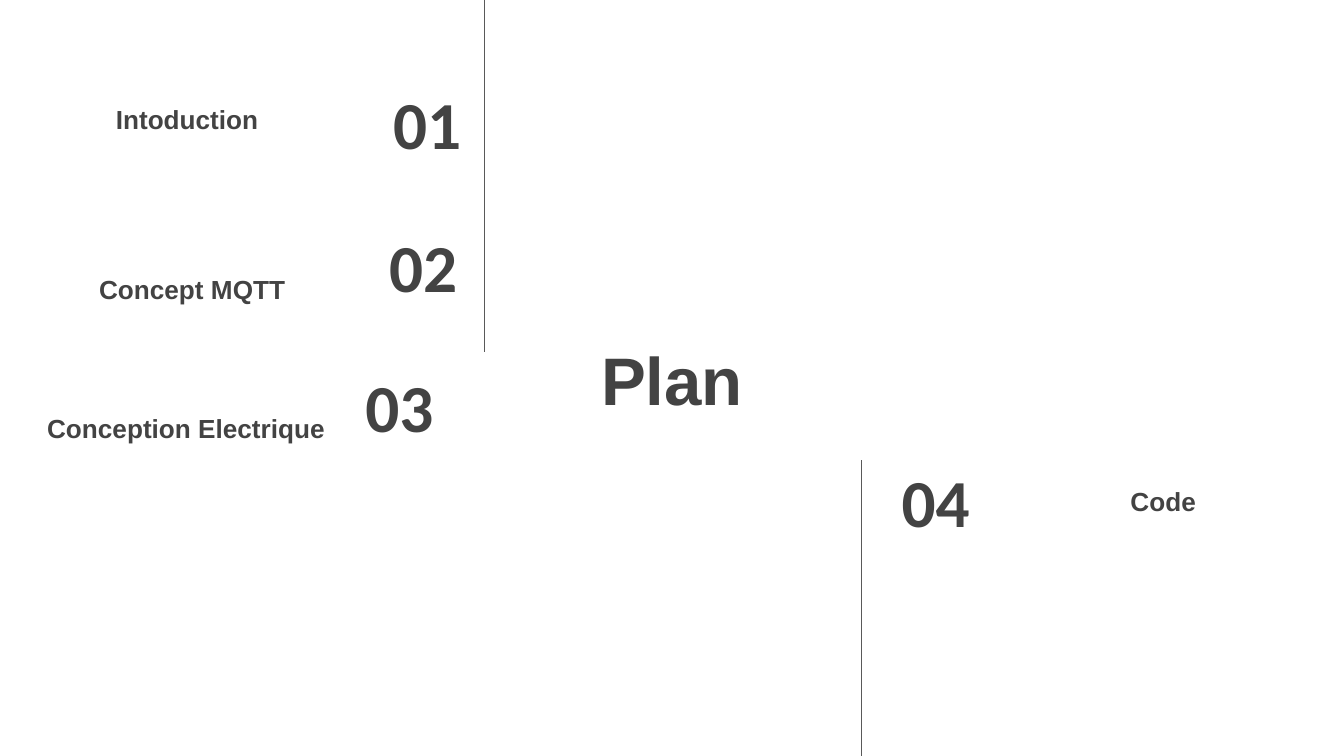
from collections import namedtuple
from dataclasses import dataclass

from pptx import Presentation
from pptx.dml.color import RGBColor
from pptx.enum.shapes import MSO_CONNECTOR as Connector
from pptx.enum.text import MSO_ANCHOR as Anchor, PP_ALIGN as Align
from pptx.oxml.ns import qn
from pptx.util import Pt

PX = 4572  # EMU per px, 200 px to the inch
Box = namedtuple("Box", "left top width height")


@dataclass(frozen=True)
class Theme:
    ink: RGBColor = RGBColor(0x43, 0x43, 0x43)
    rule: RGBColor = RGBColor(0x59, 0x59, 0x59)
    text_font: str = "Arial"
    number_font: str = "Calibri"
    large: int = 36
    small: int = 14
    rule_width: float = 0.75


THEME = Theme()


def inside(region, part):
    """Move a part from region coordinates to page coordinates."""
    return Box(region.left + part.left, region.top + part.top,
               part.width, part.height)


def add_text(page, box, text, font, size, align, anchor, inset=20):
    shape = page.shapes.add_textbox(*(length * PX for length in box))
    frame = shape.text_frame
    frame.word_wrap = True
    frame.vertical_anchor = anchor
    frame.margin_left = frame.margin_right = 20 * PX
    frame.margin_top = frame.margin_bottom = inset * PX
    frame.text = text
    para = frame.paragraphs[0]
    para.alignment = align
    style = para.runs[0].font
    style.name, style.size, style.bold = font, Pt(size), True
    style.color.rgb = THEME.ink


def add_rule(page, x, top, bottom):
    line = page.shapes.add_connector(
        Connector.STRAIGHT, x * PX, top * PX, x * PX, bottom * PX)
    line.line.color.rgb = THEME.rule
    line.line.width = Pt(THEME.rule_width)
    properties = line._element.spPr
    properties.append(properties.makeelement(qn("a:effectLst"), {}))


def add_heading(page, region, text):
    add_text(page, region, text, THEME.text_font, THEME.large,
             Align.CENTER, Anchor.MIDDLE)


def add_entry(page, region, number, number_box, number_align,
              title, title_box, anchor=Anchor.BOTTOM, inset=20):
    add_text(page, inside(region, number_box), number, THEME.number_font,
             THEME.large, number_align, Anchor.MIDDLE, inset)
    add_text(page, inside(region, title_box), title, THEME.text_font,
             THEME.small, Align.CENTER, anchor, inset)


def add_left_column(page, region):
    entries = [
        ("01", Box(464, 120, 242, 126), Align.RIGHT,
         "Intoduction", Box(62, 146, 433, 74)),
        ("02", Box(458, 332, 242, 126), Align.RIGHT,
         "Concept MQTT", Box(18, 348, 536, 126)),
        ("03", Box(524, 540, 234, 126), Align.LEFT,
         "Conception Electrique", Box(22, 554, 510, 126)),
    ]
    for entry in entries:
        add_entry(page, region, *entry)
    # Rule from the top edge down to the heading
    add_rule(page, region.left + 721, region.top, region.top + 524)


def add_right_column(page, region):
    # Rule from the heading down to the bottom edge
    add_rule(page, region.left, region.top, region.top + region.height)
    add_entry(page, region, "04", Box(40, -11, 1310, 142), Align.LEFT,
              "Code", Box(171, 27, 556, 68), Anchor.MIDDLE, inset=10)


def main():
    deck = Presentation()
    deck.slide_width, deck.slide_height = 2000 * PX, 1125 * PX
    page = deck.slides.add_slide(deck.slide_layouts[6])
    add_heading(page, Box(741, 460, 518, 206), "Plan")
    add_left_column(page, Box(0, 0, 758, 680))
    add_right_column(page, Box(1282, 685, 718, 443))
    deck.save("out.pptx")


if __name__ == "__main__":
    main()
